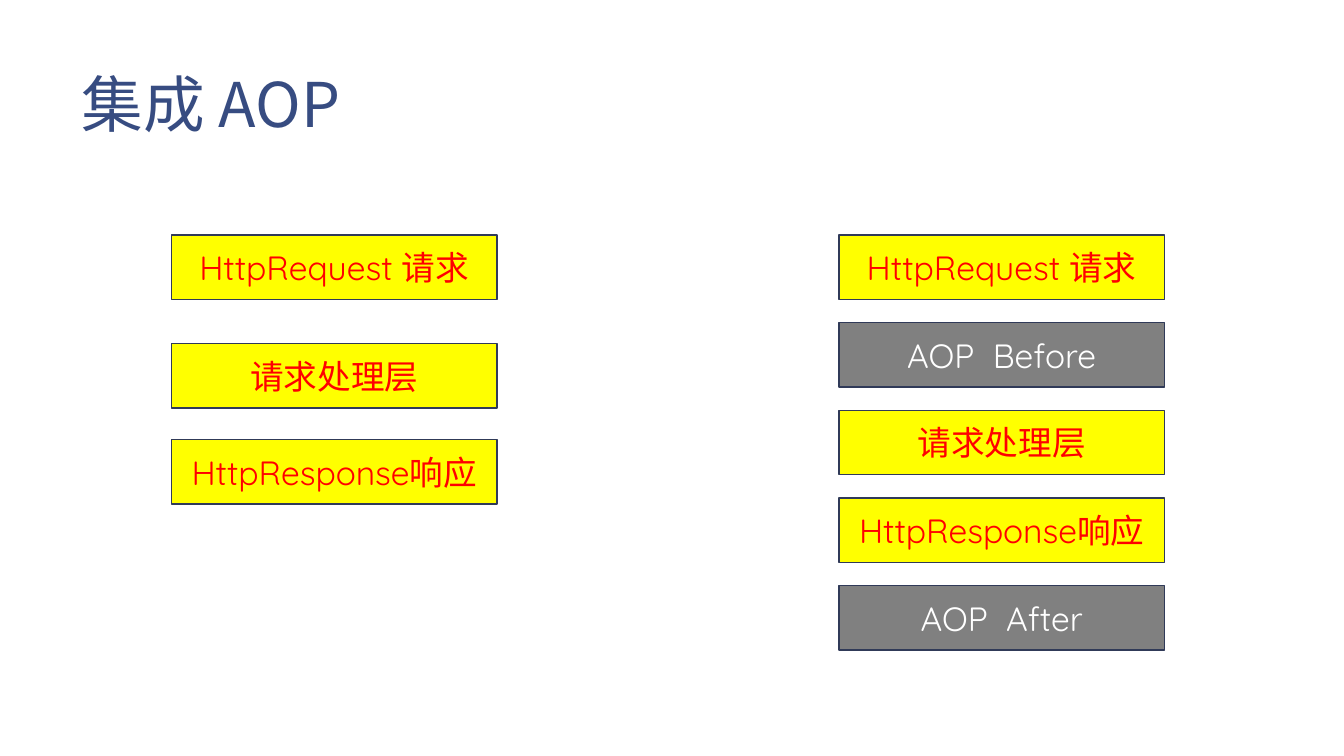
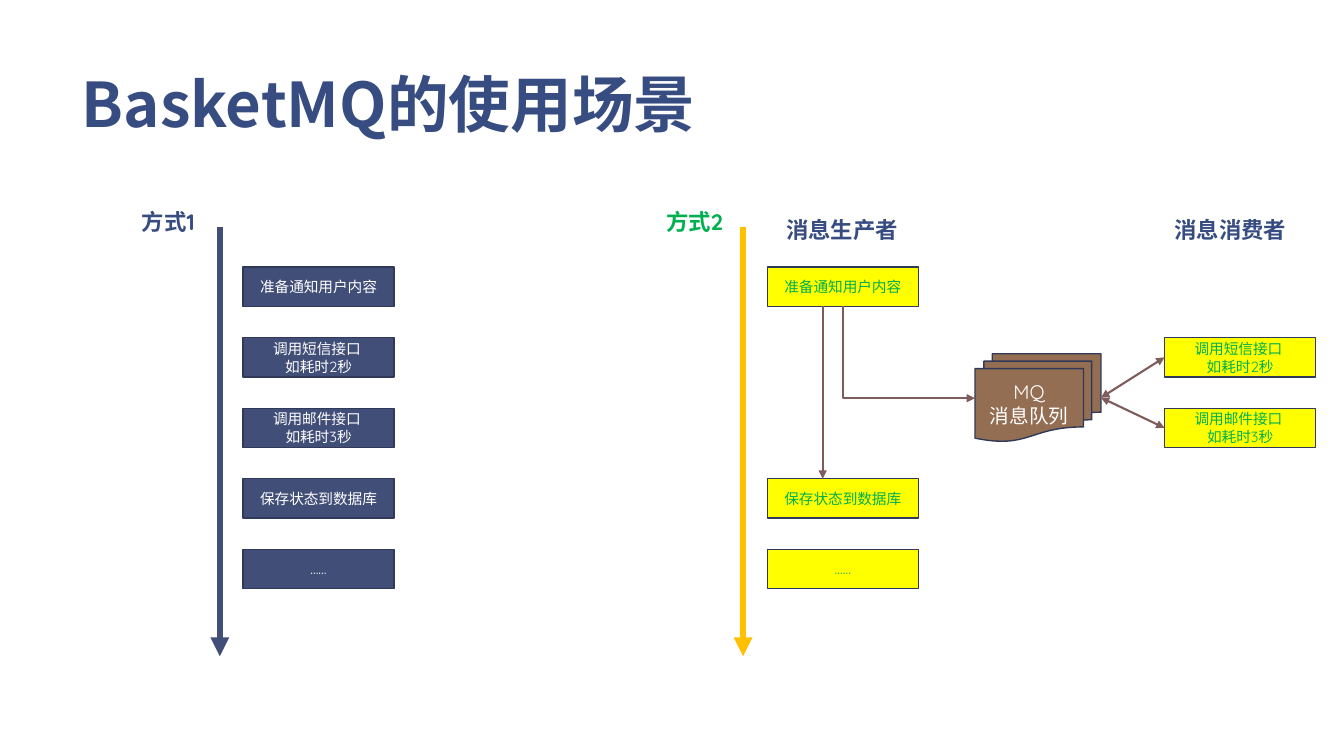
from lxml.etree import SubElement
from pptx import Presentation
from pptx.dml.color import RGBColor
from pptx.enum.shapes import MSO_CONNECTOR as LINK, MSO_SHAPE as SHAPE
from pptx.enum.text import MSO_ANCHOR as ANCHOR, PP_ALIGN as ALIGN
from pptx.oxml.ns import qn
from pptx.util import Inches, Pt

WHITE = RGBColor(0xFF, 0xFF, 0xFF)
INK = RGBColor(0x37, 0x4C, 0x81)
NAVY = RGBColor(0x41, 0x4E, 0x77)
EDGE = RGBColor(0x30, 0x3A, 0x58)
YELLOW = RGBColor(0xFF, 0xFF, 0x00)
GRAY = RGBColor(0x80, 0x80, 0x80)
RED = RGBColor(0xFF, 0x00, 0x00)
GREEN = RGBColor(0x00, 0xB0, 0x50)
GOLD = RGBColor(0xFF, 0xC0, 0x00)
BROWN = RGBColor(0x93, 0x6E, 0x53)
MAUVE = RGBColor(0x7E, 0x5C, 0x5C)


class Deck:
    """Holds the shared style and the current slide."""

    head = "Noto Sans CJK SC"
    body = "Quicksand"

    def __init__(self):
        self.prs = Presentation()
        self.prs.slide_width = Inches(13.33)
        self.prs.slide_height = Inches(7.5)
        self.slide = None

    def words(self, frame, text, size, color, font, align, bold=False):
        frame.text = text
        for para in frame.paragraphs:
            para.alignment = align
            para.font.name = font
            para.font.size = Pt(size)
            para.font.bold = bold
            para.font.color.rgb = color

    def page(self, text, bold=False):
        self.slide = self.prs.slides.add_slide(self.prs.slide_layouts[5])
        title = self.slide.shapes.title
        title.left, title.top = Inches(0.68), Inches(0.53)
        title.width, title.height = Inches(12.05), Inches(0.93)
        frame = title.text_frame
        frame.vertical_anchor = ANCHOR.BOTTOM
        frame.margin_left = frame.margin_right = Inches(0.13)
        frame.margin_top = frame.margin_bottom = Inches(0.07)
        self.words(frame, text, 44, INK, self.head, ALIGN.LEFT, bold)
        frame.paragraphs[0].line_spacing = 0.85

    def box(self, text, x, y, w, h, size, fill, color, kind=SHAPE.RECTANGLE):
        box = self.slide.shapes.add_shape(
            kind, Inches(x), Inches(y), Inches(w), Inches(h))
        box.shadow.inherit = False
        box.fill.solid()
        box.fill.fore_color.rgb = fill
        box.line.color.rgb = EDGE
        box.line.width = Pt(1)
        self.words(box.text_frame, text, size, color, self.body, ALIGN.CENTER)
        return box

    def big(self, text, x, y, fill=YELLOW, color=RED):
        return self.box(text, x, y, 3.23, 0.64, 24, fill, color)

    def step(self, text, x, y, fill=YELLOW, color=GREEN):
        return self.box(text, x, y, 1.5, 0.39, 10.5, fill, color)

    def label(self, text, x, y, w, color=INK, wrap=False):
        box = self.slide.shapes.add_textbox(
            Inches(x), Inches(y), Inches(w), Inches(0.37))
        box.text_frame.word_wrap = wrap
        self.words(box.text_frame, text, 16, color, self.body, ALIGN.LEFT, True)

    def arrow(self, x1, y1, x2, y2, color=MAUVE, width=1.5, both=False,
              kind=LINK.STRAIGHT):
        line = self.slide.shapes.add_connector(
            kind, Inches(x1), Inches(y1), Inches(x2), Inches(y2))
        line.line.color.rgb = color
        line.line.width = Pt(width)
        props = line._element.spPr
        for end in ("a:headEnd", "a:tailEnd") if both else ("a:tailEnd",):
            SubElement(props.find(qn("a:ln")), qn(end)).set("type", "triangle")
        SubElement(props, qn("a:effectLst"))
        return line

    def bend(self, x1, y1, x2, y2):
        mid_x, mid_y = (x1 + x2) / 2, (y1 + y2) / 2
        half_w, half_h = (y2 - y1) / 2, (x2 - x1) / 2
        line = self.arrow(mid_x + half_w, mid_y - half_h,
                          mid_x - half_w, mid_y + half_h, kind=LINK.ELBOW)
        props = line._element.spPr
        props.find(qn("a:xfrm")).set("rot", "16200000")
        props.find(qn("a:prstGeom")).set("prst", "bentConnector2")

    def join(self, start, end):
        line = self.arrow(0, 0, 1, 1, both=True)
        line.begin_connect(start, 3)
        line.end_connect(end, 1)


def aop(deck):
    """Draw the request flow without and with AOP."""
    deck.page("集成 AOP")
    flow = ["HttpRequest 请求", "请求处理层", "HttpResponse响应"]
    for text, y in zip(flow, (2.33, 3.41, 4.36)):
        deck.big(text, 1.7, y)
    full = [flow[0], "AOP  Before", flow[1], flow[2], "AOP  After"]
    for i, text in enumerate(full):
        look = (YELLOW, RED) if text in flow else (GRAY, WHITE)
        deck.big(text, 8.32, 2.33 + 0.87 * i, *look)


def queue(deck):
    """Draw the direct calls beside the message queue."""
    deck.page("BasketMQ的使用场景", True)
    tasks = ["准备通知用户内容", "调用短信接口 \n如耗时2秒",
             "调用邮件接口 \n如耗时3秒", "保存状态到数据库", "……"]
    users = []
    deck.arrow(2.18, 2.25, 2.18, 6.51, NAVY, 4.5)
    deck.arrow(7.37, 2.25, 7.37, 6.51, GOLD, 4.5)
    for i, text in enumerate(tasks):
        y = 2.65 + 0.7 * i
        deck.step(text, 2.41, y, NAVY, WHITE)
        if i in (1, 2):
            users.append(deck.step(text, 11.55, y))
        else:
            deck.step(text, 7.61, y)
    hub = deck.box("MQ\n消息队列", 9.67, 3.51, 1.25, 0.87, 14, BROWN, WHITE,
                   SHAPE.FLOWCHART_MULTIDOCUMENT)
    for user in users:
        deck.join(hub, user)
    deck.bend(8.36, 3.04, 9.67, 3.95)
    deck.arrow(8.16, 3.04, 8.16, 4.75)
    deck.label("方式1", 1.31, 2.02, 0.78)
    deck.label("方式2", 6.51, 2.02, 0.78, GREEN, True)
    deck.label("消息生产者", 7.7, 2.1, 1.32)
    deck.label("消息消费者", 11.55, 2.1, 1.32)


def main():
    """Build and save the deck."""
    deck = Deck()
    aop(deck)
    queue(deck)
    deck.prs.save("out.pptx")


if __name__ == "__main__":
    main()
